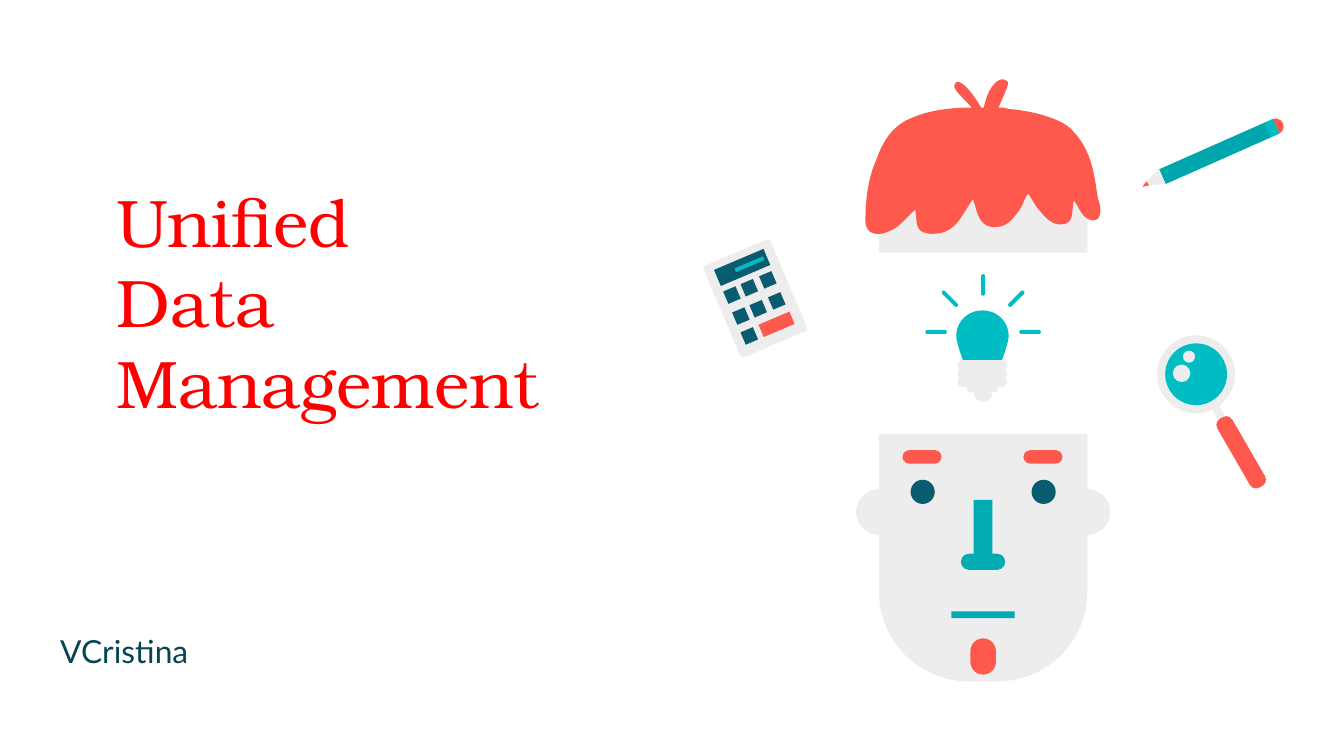
from dataclasses import dataclass
from math import cos, sin, radians

from pptx import Presentation
from pptx.dml.color import RGBColor
from pptx.enum.shapes import MSO_SHAPE as SHAPE
from pptx.enum.text import MSO_ANCHOR as ANCHOR
from pptx.util import Inches, Pt


@dataclass(frozen=True)
class Theme:
    red: str = "FF0000"
    ink: str = "064554"
    pale: str = "EDEDED"
    navy: str = "095B6F"
    coral: str = "FF594D"
    cyan: str = "00BDC3"
    teal: str = "00A6AD"
    nose: str = "00ABB1"
    title_font: str = "TeX Gyre Bonum"
    body_font: str = "Lato"
    title_size: int = 36
    body_size: int = 17


T = Theme()

HAIR = [
    (103, 0), (99, 0, 95, 5, 93, 9), (91, 13, 90, 17, 89, 21), (87, 21),
    (82, 12, 74, 2, 70, 2), (69, 2, 68, 2, 68, 3), (64, 6, 73, 13, 80, 21),
    (65, 21, 49, 23, 37, 28), (15, 36, 11, 56, 7, 65), (3, 75, 1, 91, 1, 101),
    (0, 110, 3, 115, 10, 115), (12, 115, 14, 115, 16, 114),
    (26, 111, 30, 104, 38, 97), (40, 105, 36, 115, 51, 115),
    (68, 115, 72, 102, 81, 89), (84, 98, 85, 110, 97, 110),
    (107, 110, 111, 103, 115, 98), (118, 94, 119, 89, 122, 85),
    (125, 89, 127, 94, 130, 97), (134, 102, 139, 108, 146, 108),
    (157, 108, 154, 98, 156, 90), (160, 95, 162, 104, 170, 105),
    (178, 105, 176, 94, 174, 89), (171, 71, 170, 53, 154, 37),
    (148, 31, 131, 24, 107, 22), (105, 21, 103, 21, 100, 21),
    (102, 16, 108, 4, 107, 2), (106, 1, 104, 0, 103, 0),
]
GLASS = [
    (19.5, 0), (9, 0, 0, 8, 0, 19), (0, 24, 5, 37, 5, 37), (34, 37),
    (34, 37, 39, 24, 39, 19), (39, 8, 30, 0, 19.5, 0),
]
PENCIL_WOOD = [(5, 50), (17, 49), (12, 38), (3, 47)]
PENCIL_LEAD = [(0, 51), (5, 50), (3, 47)]


def paint(sp, color):
    sp.shadow.inherit = False
    sp.fill.solid()
    sp.fill.fore_color.rgb = RGBColor.from_string(color)
    sp.line.fill.background()


def add_part(s, kind, x, y, w, h, color, adjust=(), angle=0):
    sp = s.shapes.add_shape(kind, Inches(x), Inches(y), Inches(w), Inches(h))
    for i, value in enumerate(adjust):
        sp.adjustments[i] = value
    sp.rotation = angle
    paint(sp, color)


def add_tilted(s, kind, center, angle, u, v, w, h, color, adjust=()):
    c, d = cos(radians(angle)), sin(radians(angle))
    x, y = center[0] + u * c - v * d, center[1] + u * d + v * c
    add_part(s, kind, x - w / 2, y - h / 2, w, h, color, adjust, angle)


def flatten(segments, steps=10):
    points = [segments[0]]
    for seg in segments[1:]:
        if len(seg) == 2:
            points.append(seg)
            continue
        x0, y0 = points[-1]
        x1, y1, x2, y2, x3, y3 = seg
        for i in range(1, steps + 1):
            t = i / steps
            a, b, c, d = (1 - t) ** 3, 3 * t * (1 - t) ** 2, 3 * t * t * (1 - t), t ** 3
            points.append((a * x0 + b * x1 + c * x2 + d * x3,
                           a * y0 + b * y1 + c * y2 + d * y3))
    return points


def add_outline(s, x, y, segments, color):
    points = [(Inches(px / 100), Inches(py / 100)) for px, py in flatten(segments)]
    builder = s.shapes.build_freeform(*points[0])
    builder.add_line_segments(points[1:], close=True)
    paint(builder.convert_to_shape(Inches(x), Inches(y)), color)


def middle(box):
    x, y, w, h = box
    return x + w / 2, y + h / 2


def add_text(s, box, lines, font, size, color, anchor, bottom):
    tf = s.shapes.add_textbox(*map(Inches, box)).text_frame
    tf.word_wrap = True
    tf.vertical_anchor = anchor
    tf.margin_left = tf.margin_right = tf.margin_top = Inches(0.1)
    tf.margin_bottom = Inches(bottom)
    p = tf.paragraphs[0]
    for i, line in enumerate(lines):
        if i:
            p.add_line_break()
        r = p.add_run()
        r.text = line
        r.font.name = font
        r.font.size = Pt(size)
        r.font.color.rgb = RGBColor.from_string(color)


def add_calculator(s, box):
    center, angle = middle(box), -23
    key, rows, cols = 0.1, (-0.09, 0.08, 0.24), (-0.15, -0.01, 0.14)

    def put(u, v, w, h, color, kind=SHAPE.RECTANGLE, adjust=()):
        add_tilted(s, kind, center, angle, u, v, w, h, color, adjust)

    put(0, 0, 0.54, 0.74, T.pale, SHAPE.ROUNDED_RECTANGLE, (0.04,))
    put(0, -0.25, 0.4, 0.13, T.navy)
    put(0.06, -0.25, 0.23, 0.03, T.cyan)
    for row in rows:
        for col in cols if row != rows[-1] else cols[:1]:
            put(col, row, key, key, T.navy)
    put(0.07, rows[-1], 0.25, key, T.coral)


def add_magnifier(s, box):
    center, angle, axis = middle(box), 60, -0.04
    for kind, u, v, w, h, color, adjust in (
        (SHAPE.RECTANGLE, 0.05, axis, 0.17, 0.06, T.pale, ()),
        (SHAPE.OVAL, -0.3, axis, 0.58, 0.58, T.pale, ()),
        (SHAPE.OVAL, -0.3, axis, 0.46, 0.46, T.cyan, ()),
        (SHAPE.ROUNDED_RECTANGLE, 0.37, axis, 0.59, 0.13, T.coral, (0.4,)),
        (SHAPE.OVAL, -0.36, 0.05, 0.13, 0.13, T.pale, ()),
        (SHAPE.OVAL, -0.44, -0.06, 0.09, 0.09, T.pale, ()),
    ):
        add_tilted(s, kind, center, angle, u, v, w, h, color, adjust)


def add_pencil(s, box):
    center, angle, axis = middle(box), -23.9, 0.01
    for kind, u, w, color in (
        (SHAPE.OVAL, 0.5, 0.12, T.coral),
        (SHAPE.RECTANGLE, 0.01, 0.86, T.teal),
        (SHAPE.RECTANGLE, 0.47, 0.07, T.cyan),
    ):
        add_tilted(s, kind, center, angle, u, axis, w, 0.12, color)
    add_outline(s, *box[:2], PENCIL_WOOD, T.pale)
    add_outline(s, *box[:2], PENCIL_LEAD, T.coral)


def add_bulb(s, box):
    x, y, w, _ = box
    mid = x + w / 2
    add_part(s, SHAPE.OVAL, mid - 0.07, y + 0.81, 0.14, 0.14, T.pale)
    add_outline(s, mid - 0.2, y + 0.27, GLASS, T.cyan)
    for i in range(3):
        add_part(s, SHAPE.ROUNDED_RECTANGLE, mid - 0.19, y + 0.64 + i * 0.06,
                 0.37, 0.08, T.pale, (0.5,))
    add_part(s, SHAPE.ROUNDED_RECTANGLE, mid - 0.12, y + 0.83, 0.23, 0.05, T.pale, (0.5,))
    for angle in range(180, 361, 45):
        add_tilted(s, SHAPE.ROUNDED_RECTANGLE, (mid, y + 0.43), angle,
                   0.35, 0, 0.16, 0.03, T.cyan, (0.5,))


def add_face(s, box):
    x, y, w, h = box
    mid, ear = x + w / 2, 0.34
    for left in (x, x + w - ear):
        add_part(s, SHAPE.OVAL, left, y + 0.41, ear, ear, T.pale)
    add_part(s, SHAPE.ROUND_2_SAME_RECTANGLE, x + 0.17, y, w - 0.34, h, T.pale, (0, 0.43))
    for side in (-0.45, 0.45):
        add_part(s, SHAPE.OVAL, mid + side - 0.09, y + 0.34, 0.18, 0.18, T.navy)
        add_part(s, SHAPE.ROUNDED_RECTANGLE, mid + side - 0.15, y + 0.12,
                 0.29, 0.1, T.coral, (0.5,))
    for kind, top, width, height, color in (
        (SHAPE.RECTANGLE, 0.49, 0.14, 0.46, T.nose),
        (SHAPE.ROUNDED_RECTANGLE, 0.89, 0.33, 0.12, T.nose),
        (SHAPE.RECTANGLE, 1.32, 0.47, 0.05, T.nose),
        (SHAPE.ROUNDED_RECTANGLE, 1.52, 0.19, 0.27, T.coral),
    ):
        adjust = (0.5,) if kind == SHAPE.ROUNDED_RECTANGLE else ()
        add_part(s, kind, mid - width / 2, y + top, width, height, color, adjust)


def add_scalp(s, box):
    x, y, w, h = box
    add_part(s, SHAPE.ROUND_2_SAME_RECTANGLE, x + 0.11, y + 0.36, w - 0.23, h - 0.36,
             T.pale, (0.5, 0))
    add_outline(s, x, y, HAIR, T.coral)


def main():
    prs = Presentation()
    prs.slide_width, prs.slide_height = Inches(10), Inches(10 * 9 / 16)
    s = prs.slides.add_slide(prs.slide_layouts[6])
    add_text(s, (0.77, 1.29, 4.62, 2.55), ("Unified", "Data", "Management"),
             T.title_font, T.title_size, T.red, ANCHOR.BOTTOM, 0.7)
    add_text(s, (0.35, 4.6, 8.86, 0.77), ("VCristina",),
             T.body_font, T.body_size, T.ink, ANCHOR.MIDDLE, 0.38)
    add_calculator(s, (5.23, 1.78, 0.78, 0.88))
    add_magnifier(s, (8.6, 2.49, 0.83, 1.15))
    add_pencil(s, (8.5, 0.88, 1.06, 0.51))
    add_bulb(s, (6.89, 2.04, 0.85, 0.95))
    add_face(s, (6.37, 3.23, 1.89, 1.84))
    add_scalp(s, (6.43, 0.59, 1.78, 1.29))
    prs.save("out.pptx")


if __name__ == "__main__":
    main()
